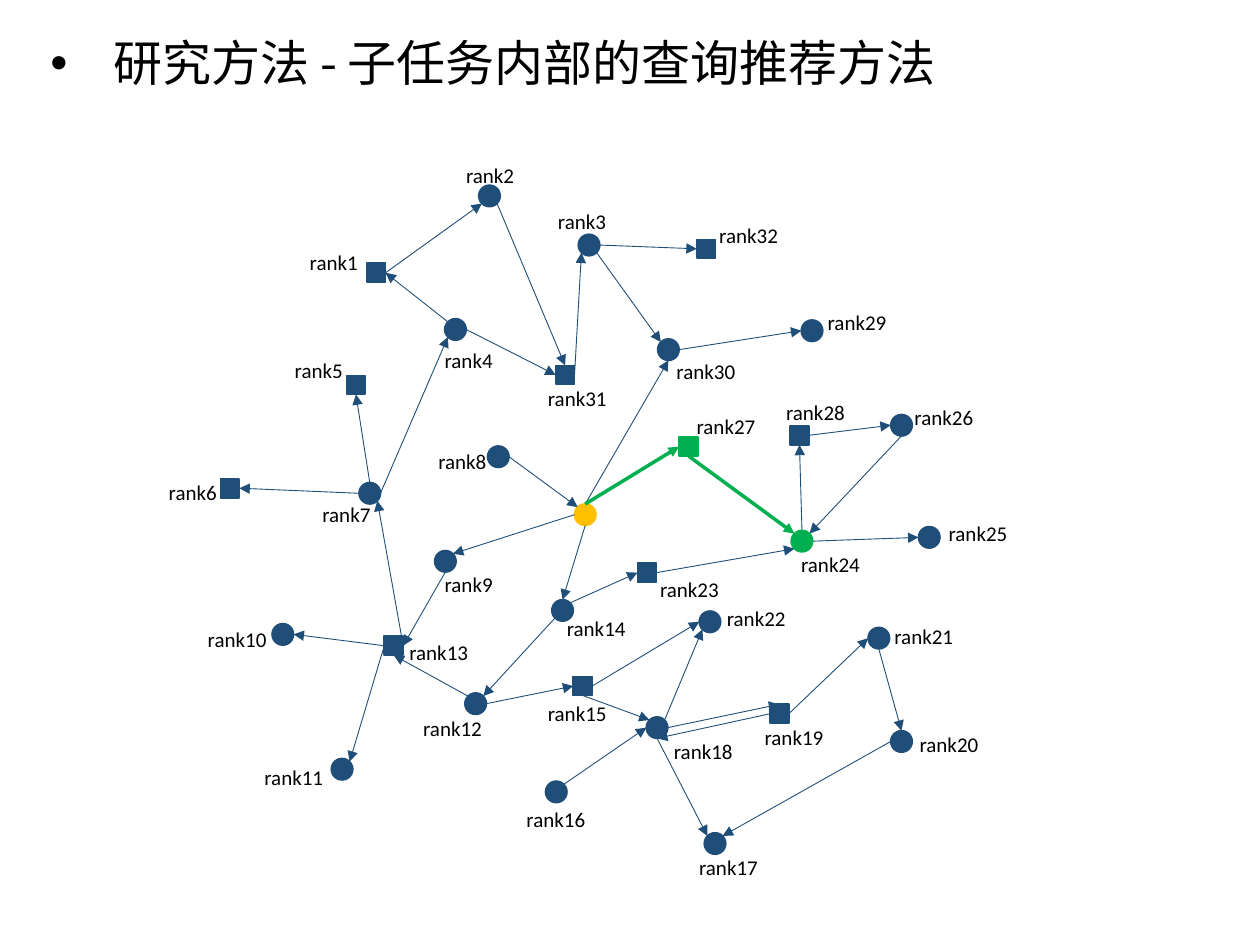
import math
from typing import NamedTuple, Optional

import pptx
import pptx.dml.color
import pptx.enum.shapes
import pptx.enum.text
import pptx.oxml.ns
import pptx.util
from lxml import etree

SHAPE = pptx.enum.shapes.MSO_SHAPE
COLS, ROWS = 1000, 750  # the slide as a fine grid


class Theme(NamedTuple):
    node: str = "1F4E79"
    route: str = "00B050"
    start: str = "FFC000"
    text: str = "000000"
    title_font: str = "Noto Sans CJK SC"
    label_font: str = "Calibri"
    title_size: float = 28
    label_size: float = 12
    edge_width: float = 0.5
    route_width: float = 2
    outline: float = 1


class Node(NamedTuple):
    kind: str  # "o" circle, "s" square
    col: int
    row: int
    label: Optional[tuple[int, int, int]]  # column, row, columns wide

    @property
    def size(self) -> int:
        return 17 if self.kind == "o" else 15

    def site(self, side: str) -> tuple[float, float]:
        """Point on the outline in a compass direction."""
        dx = ("e" in side) - ("w" in side)
        dy = ("s" in side) - ("n" in side)
        half = self.size / 2
        reach = half / math.hypot(dx, dy)
        return self.col + half + dx * reach, self.row + half + dy * reach


class Edge(NamedTuple):
    source: int
    leave: str
    target: int
    enter: str


THEME = Theme()
TITLE = "研究方法 - 子任务内部的查询推荐方法"
START = 0  # the unlabelled query; the other keys are ranks
NODES = {
    START: Node("o", 456, 400, None),
    1: Node("s", 291, 209, (236, 193, 65)),
    2: Node("o", 380, 147, (360, 124, 65)),
    3: Node("o", 459, 186, (433, 161, 65)),
    4: Node("o", 353, 253, (343, 271, 65)),
    5: Node("s", 275, 298, (224, 279, 65)),
    6: Node("s", 175, 380, (124, 376, 65)),
    7: Node("o", 285, 383, (246, 393, 65)),
    8: Node("o", 387, 354, (338, 351, 65)),
    9: Node("o", 345, 437, (343, 449, 65)),
    10: Node("o", 216, 495, (155, 492, 72)),
    11: Node("o", 263, 602, (200, 602, 75)),
    12: Node("o", 369, 550, (326, 563, 81)),
    13: Node("s", 305, 505, (315, 503, 69)),
    14: Node("o", 438, 476, (440, 484, 69)),
    15: Node("s", 455, 537, (425, 551, 73)),
    16: Node("o", 433, 620, (408, 635, 81)),
    17: Node("o", 559, 661, (545, 673, 75)),
    18: Node("o", 513, 569, (525, 581, 68)),
    19: Node("s", 611, 559, (597, 570, 67)),
    20: Node("o", 707, 580, (720, 576, 67)),
    21: Node("o", 689, 498, (700, 490, 72)),
    22: Node("o", 555, 485, (567, 476, 68)),
    23: Node("s", 506, 447, (514, 453, 70)),
    24: Node("o", 628, 421, (626, 433, 73)),
    25: Node("o", 729, 418, (743, 408, 72)),
    26: Node("o", 707, 329, (716, 316, 73)),
    27: Node("s", 539, 347, (543, 323, 72)),
    28: Node("s", 627, 338, (614, 312, 75)),
    29: Node("o", 636, 254, (647, 241, 69)),
    30: Node("o", 522, 269, (527, 280, 69)),
    31: Node("s", 441, 290, (425, 301, 69)),
    32: Node("s", 553, 190, (561, 172, 74)),
}
EDGES = [
    Edge(0, "s", 14, "n"), Edge(0, "w", 9, "ne"), Edge(0, "n", 30, "s"),
    Edge(1, "e", 2, "sw"), Edge(2, "se", 31, "n"),
    Edge(3, "e", 32, "w"), Edge(3, "se", 30, "nw"),
    Edge(4, "nw", 1, "e"), Edge(4, "e", 31, "w"),
    Edge(7, "e", 4, "sw"), Edge(7, "n", 5, "s"), Edge(7, "w", 6, "e"),
    Edge(8, "e", 0, "nw"), Edge(9, "s", 13, "e"),
    Edge(12, "nw", 13, "s"), Edge(12, "e", 15, "w"),
    Edge(13, "w", 10, "e"), Edge(13, "w", 11, "ne"), Edge(13, "e", 7, "se"),
    Edge(14, "ne", 23, "w"), Edge(14, "sw", 12, "ne"),
    Edge(15, "e", 22, "w"), Edge(15, "s", 18, "nw"),
    Edge(16, "ne", 18, "w"),
    Edge(18, "s", 17, "nw"), Edge(18, "ne", 22, "sw"), Edge(18, "e", 19, "n"),
    Edge(19, "w", 18, "s"), Edge(19, "e", 21, "w"),
    Edge(20, "w", 17, "ne"), Edge(21, "s", 20, "n"),
    Edge(23, "e", 24, "sw"),
    Edge(24, "n", 28, "s"), Edge(24, "e", 25, "w"),
    Edge(26, "s", 24, "ne"), Edge(28, "e", 26, "w"),
    Edge(30, "e", 29, "w"), Edge(31, "e", 3, "sw"),
]
ROUTE = [Edge(0, "n", 27, "w"), Edge(27, "s", 24, "nw")]

prs = pptx.Presentation()
prs.slide_width, prs.slide_height = pptx.util.Inches(10), pptx.util.Inches(7.5)


def x(cols: float) -> int:
    return round(prs.slide_width * cols / COLS)


def y(rows: float) -> int:
    return round(prs.slide_height * rows / ROWS)


def rgb(color: str) -> pptx.dml.color.RGBColor:
    return pptx.dml.color.RGBColor.from_string(color)


def add_child(parent, tag: str, **attributes: str) -> None:
    etree.SubElement(parent, pptx.oxml.ns.qn(tag), attributes)


def format_runs(p, font: str, size: float) -> None:
    for r in p.runs:
        r.font.name, r.font.size = font, pptx.util.Pt(size)
        r.font.color.rgb = rgb(THEME.text)


def draw_title(sp) -> None:
    sp.left, sp.top, sp.width, sp.height = x(30), y(21), x(894), y(57)
    tf = sp.text_frame
    tf.text = TITLE
    tf.vertical_anchor = pptx.enum.text.MSO_ANCHOR.TOP
    tf.auto_size = pptx.enum.text.MSO_AUTO_SIZE.SHAPE_TO_FIT_TEXT
    p = tf.paragraphs[0]
    p.alignment = pptx.enum.text.PP_ALIGN.LEFT
    format_runs(p, THEME.title_font, THEME.title_size)
    add_child(p.runs[0].font._element, "a:ea", typeface=THEME.title_font)
    # Bullet with a hanging indent
    pPr = p._p.get_or_add_pPr()
    pPr.set("marL", str(x(50)))
    pPr.set("indent", str(-x(50)))
    add_child(pPr, "a:buFont", typeface="Arial")
    add_child(pPr, "a:buChar", char="•")


def draw_node(shapes, node: Node, color: str) -> None:
    kind = SHAPE.OVAL if node.kind == "o" else SHAPE.RECTANGLE
    sp = shapes.add_shape(kind, x(node.col), y(node.row), x(node.size), y(node.size))
    sp.shadow.inherit = False
    sp.fill.solid()
    sp.fill.fore_color.rgb = sp.line.color.rgb = rgb(color)
    sp.line.width = pptx.util.Pt(THEME.outline)


def draw_edge(shapes, edge: Edge, color: str, width: float) -> None:
    x1, y1 = NODES[edge.source].site(edge.leave)
    x2, y2 = NODES[edge.target].site(edge.enter)
    straight = pptx.enum.shapes.MSO_CONNECTOR.STRAIGHT
    line = shapes.add_connector(straight, x(x1), y(y1), x(x2), y(y2))
    line.line.color.rgb, line.line.width = rgb(color), pptx.util.Pt(width)
    add_child(line.line._get_or_add_ln(), "a:tailEnd", type="triangle")
    add_child(line._element.spPr, "a:effectLst")


def draw_label(shapes, rank: int, col: int, row: int, cols: int) -> None:
    tf = shapes.add_textbox(x(col), y(row), x(cols), y(30)).text_frame
    tf.word_wrap = True
    tf.text = f"rank{rank}"
    format_runs(tf.paragraphs[0], THEME.label_font, THEME.label_size)


def main() -> None:
    s = prs.slides.add_slide(prs.slide_layouts[5])
    draw_title(s.shapes.title)

    # Query network
    network = s.shapes.add_group_shape().shapes
    route_ranks = {edge.target for edge in ROUTE}
    for rank, node in NODES.items():
        if rank not in route_ranks:
            draw_node(network, node, THEME.start if rank == START else THEME.node)
    for edge in EDGES:
        draw_edge(network, edge, THEME.node, THEME.edge_width)

    # Recommended route
    for rank in route_ranks:
        draw_node(s.shapes, NODES[rank], THEME.route)
    for edge in ROUTE:
        draw_edge(s.shapes, edge, THEME.route, THEME.route_width)

    # Rank labels
    labels = s.shapes.add_group_shape().shapes
    for rank, node in NODES.items():
        if node.label:
            draw_label(labels, rank, *node.label)

    prs.save("out.pptx")


if __name__ == "__main__":
    main()
